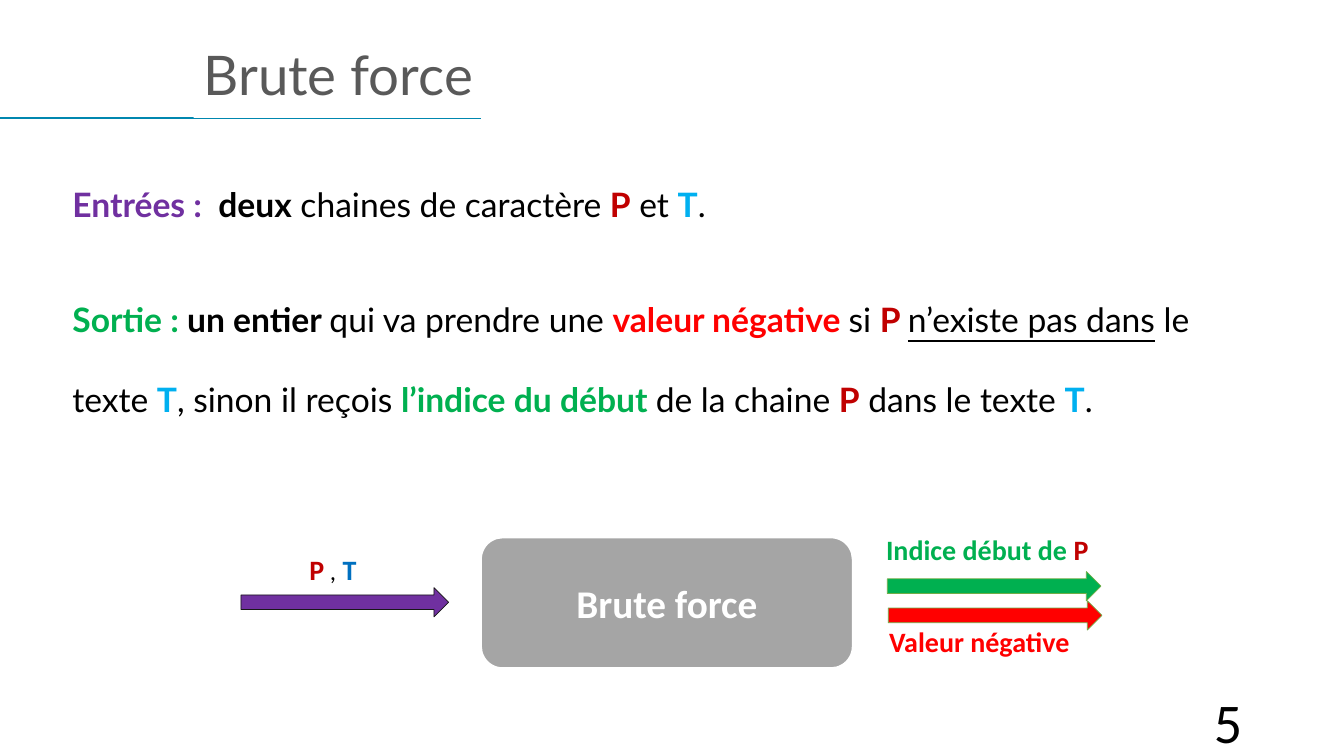
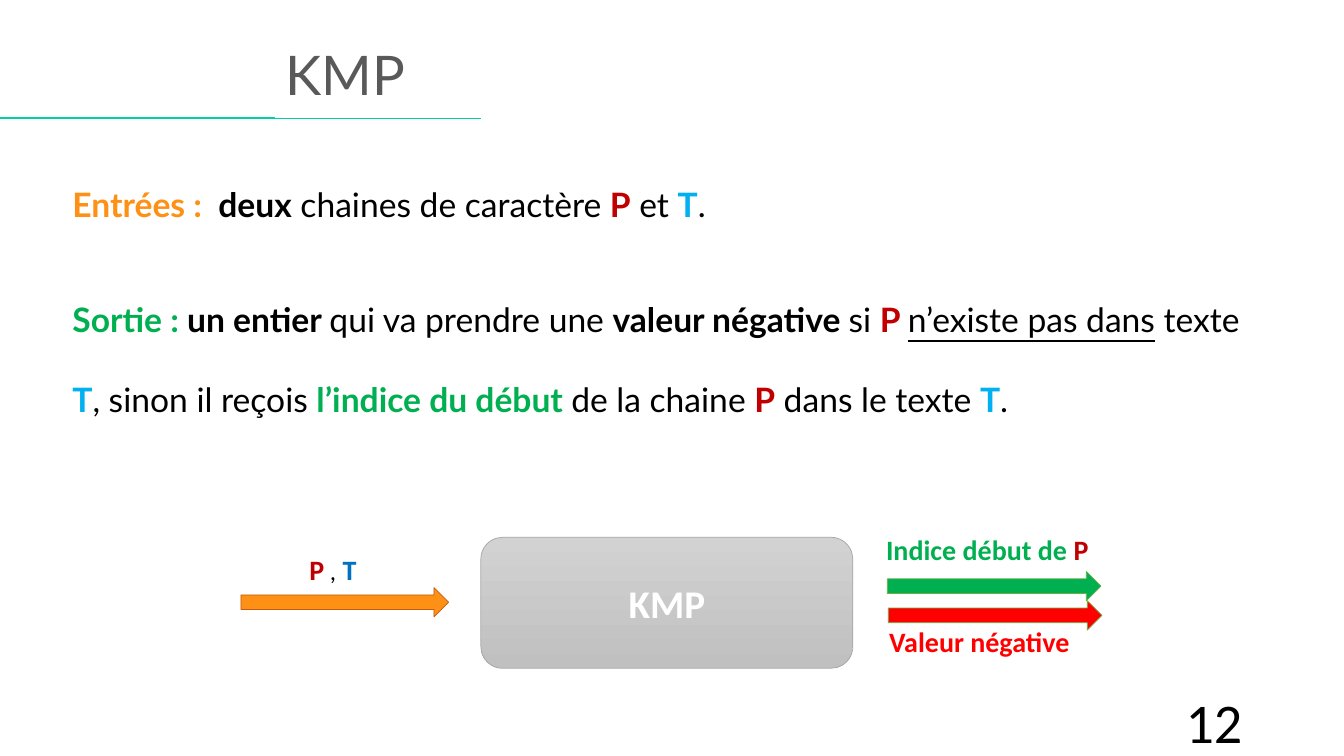
from dataclasses import dataclass
from typing import NamedTuple, Optional

from lxml.etree import SubElement
from pptx import Presentation
from pptx.dml.color import RGBColor
from pptx.enum.shapes import MSO_CONNECTOR as Connector, MSO_SHAPE as Preset
from pptx.enum.text import MSO_ANCHOR as Anchor, MSO_AUTO_SIZE as AutoSize, PP_ALIGN as Align
from pptx.oxml.ns import qn
from pptx.util import Inches, Pt


@dataclass(frozen=True)
class Theme:
    heading_font: str = "Lato"
    label_font: str = "Calibri"
    title_size: float = 39
    body_size: float = 24
    block_size: float = 28
    label_size: float = 20
    comma_size: float = 18
    number_size: float = 40
    gap: float = 24
    white: str = "FFFFFF"
    black: str = "000000"
    title: str = "595959"
    pattern: str = "C00000"
    text: str = "00B0F0"
    text_label: str = "0070C0"
    found: str = "00B050"
    missing: str = "FF0000"
    result_edge: str = "70AD47"


THEME = Theme()
WIDTH, HEIGHT = Inches(13.33), Inches(7.5)


class Frame(NamedTuple):
    """Left, top, width and height in percent of the slide."""

    left: float
    top: float
    width: float
    height: float

    def lengths(self) -> list[int]:
        sides = (WIDTH, HEIGHT, WIDTH, HEIGHT)
        return [round(side * share / 100) for side, share in zip(sides, self)]


class Span(NamedTuple):
    text: str
    color: str = THEME.black
    bold: bool = False
    underline: bool = False
    size: Optional[float] = None


class Style(NamedTuple):
    font: str
    size: float
    align: Align = Align.LEFT
    spacing: float = 1.0


class Outline(NamedTuple):
    color: str
    width: float = 0.5


class Arrow(NamedTuple):
    frame: Frame
    fill: str
    edge: str


class Label(NamedTuple):
    frame: Frame
    spans: list[Span]


class Topic(NamedTuple):
    name: str
    number: int
    title_left: float
    rule: str
    accent: str
    accent_edge: str
    block_fill: tuple[str, ...]
    block_edge: Outline
    negative: str
    before_text: str


TITLE_TOP, TITLE_RIGHT, RULE_Y, RULE_END = 5.73, 37.6, 15.6, 35.78
BODY = Frame(4.65, 18.4, 90, 36.53)
BLOCK = Frame(RULE_END, 71.07, 27.68, 17.33)
NUMBER = Frame(70.67, 92.67, 22.5, 5.33)
ARROW_HEIGHT, LABEL_HEIGHT = 3.87, 5.87

TITLE_STYLE = Style(THEME.heading_font, THEME.title_size, spacing=0.9)
BODY_STYLE = Style(THEME.heading_font, THEME.body_size, spacing=2.0)
BLOCK_STYLE = Style(THEME.label_font, THEME.block_size, Align.CENTER)
LABEL_STYLE = Style(THEME.label_font, THEME.label_size)
NUMBER_STYLE = Style(THEME.label_font, THEME.number_size, Align.RIGHT)

P = Span("P", THEME.pattern, True)
T = Span("T", THEME.text, True)

LABELS = [
    Label(
        Frame(22.28, 72.4, 5.03, LABEL_HEIGHT),
        [P, Span(" ,", size=THEME.comma_size), Span(" ", bold=True), Span("T", THEME.text_label, True)],
    ),
    Label(Frame(65.19, 69.73, 16.73, LABEL_HEIGHT), [Span("Indice début de ", THEME.found, True), P]),
    Label(Frame(65.42, 82, 15.08, LABEL_HEIGHT), [Span("Valeur négative", THEME.missing, True)]),
]

TOPICS = [
    Topic("Brute force", 5, 14.4, "0087AF", "7030A0", "181717", ("A5A5A5",),
          Outline(THEME.white, 1.5), THEME.missing, " le texte "),
    Topic("KMP", 12, 20.48, "00D0A8", "FE9016", "C55A11", ("D2D2D2", "C0C0C0"),
          Outline("A5A5A5"), THEME.black, " texte "),
]


def rgb(color: str) -> RGBColor:
    return RGBColor.from_string(color)


def write(box, paragraphs: list[list[Span]], style: Style, anchor: Anchor = Anchor.TOP,
          wrap: bool = True) -> None:
    frame = box.text_frame
    frame.word_wrap = wrap
    frame.auto_size = AutoSize.NONE
    frame.vertical_anchor = anchor
    for index, spans in enumerate(paragraphs):
        para = frame.add_paragraph() if index else frame.paragraphs[0]
        para.alignment = style.align
        para.line_spacing = style.spacing
        para.space_before = Pt(THEME.gap if index else 0)
        para.font.name = style.font
        para.font.size = Pt(style.size)
        for span in spans:
            run = para.add_run()
            run.text = span.text
            run.font.color.rgb = rgb(span.color)
            run.font.bold = span.bold
            run.font.underline = span.underline
            if span.size:
                run.font.size = Pt(span.size)


def add_text(page, frame: Frame, paragraphs: list[list[Span]], style: Style,
             anchor: Anchor = Anchor.TOP, wrap: bool = True) -> None:
    box = page.shapes.add_textbox(*frame.lengths())
    write(box, paragraphs, style, anchor, wrap)


def add_box(page, preset: Preset, frame: Frame, colors: tuple[str, ...],
            outline: Optional[Outline] = None):
    box = page.shapes.add_shape(preset, *frame.lengths())
    box.shadow.inherit = False
    if len(colors) == 1:
        box.fill.solid()
        box.fill.fore_color.rgb = rgb(colors[0])
    else:
        box.fill.gradient()
        box.fill.gradient_angle = 270
        for stop, color in zip(box.fill.gradient_stops, colors):
            stop.color.rgb = rgb(color)
    if outline:
        box.line.color.rgb = rgb(outline.color)
        box.line.width = Pt(outline.width)
    else:
        box.line.fill.background()
    return box


def add_heading(page, topic: Topic) -> None:
    left, top, width, _ = Frame(0, RULE_Y, RULE_END, 0).lengths()
    rule = page.shapes.add_connector(Connector.STRAIGHT, left, top, left + width, top)
    rule.line.color.rgb = rgb(topic.rule)
    rule.line.width = Pt(1)
    SubElement(rule._element.spPr, qn("a:effectLst"))
    frame = Frame(topic.title_left, TITLE_TOP, TITLE_RIGHT - topic.title_left, RULE_Y - TITLE_TOP)
    title = add_box(page, Preset.RECTANGLE, frame, (THEME.white,))
    write(title, [[Span(topic.name, THEME.title)]], TITLE_STYLE)


def body_text(topic: Topic) -> list[list[Span]]:
    inputs = [
        Span("Entrées :  ", topic.accent, True),
        Span("deux", bold=True),
        Span(" chaines de caractère "),
        P,
        Span(" et "),
        T,
        Span("."),
    ]
    output = [
        Span("Sortie : ", THEME.found, True),
        Span("un entier ", bold=True),
        Span("qui va prendre une "),
        Span("valeur négative ", topic.negative, True),
        Span("si "),
        Span("P ", THEME.pattern, True),
        Span("n’existe pas dans", underline=True),
        Span(topic.before_text),
        T,
        Span(", sinon il reçois "),
        Span("l’indice du début ", THEME.found, True),
        Span("de la chaine "),
        P,
        Span(" dans le texte "),
        T,
        Span("."),
    ]
    return [inputs, output]


def add_diagram(page, topic: Topic) -> None:
    block = add_box(page, Preset.ROUNDED_RECTANGLE, BLOCK, topic.block_fill, topic.block_edge)
    write(block, [[Span(topic.name, THEME.white, True)]], BLOCK_STYLE, Anchor.MIDDLE)
    arrows = [
        Arrow(Frame(17.93, 77.73, 15.45, ARROW_HEIGHT), topic.accent, topic.accent_edge),
        Arrow(Frame(66.02, 75.6, 15.9, ARROW_HEIGHT), THEME.found, THEME.result_edge),
        Arrow(Frame(66.09, 79.47, 15.9, ARROW_HEIGHT), THEME.missing, THEME.result_edge),
    ]
    for arrow in arrows:
        add_box(page, Preset.RIGHT_ARROW, arrow.frame, (arrow.fill,), Outline(arrow.edge))
    for label in LABELS:
        add_text(page, label.frame, [label.spans], LABEL_STYLE, wrap=False)


def add_page(deck, topic: Topic) -> None:
    page = deck.slides.add_slide(deck.slide_layouts[6])
    add_text(page, NUMBER, [[Span(str(topic.number))]], NUMBER_STYLE, Anchor.MIDDLE)
    add_text(page, BODY, body_text(topic), BODY_STYLE)
    add_heading(page, topic)
    add_diagram(page, topic)


def main() -> None:
    deck = Presentation()
    deck.slide_width, deck.slide_height = WIDTH, HEIGHT
    for topic in TOPICS:
        add_page(deck, topic)
    deck.save("out.pptx")


if __name__ == "__main__":
    main()
